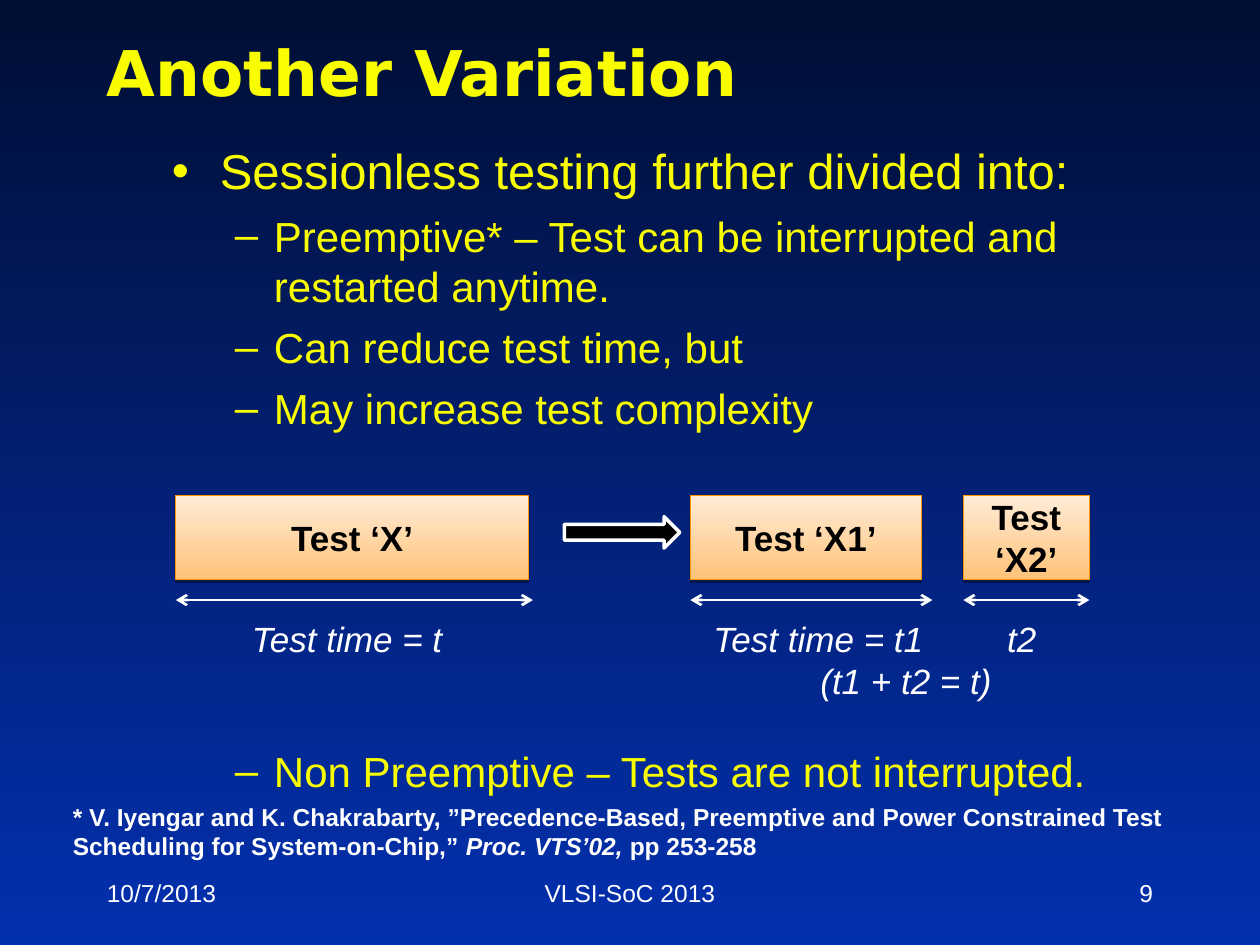
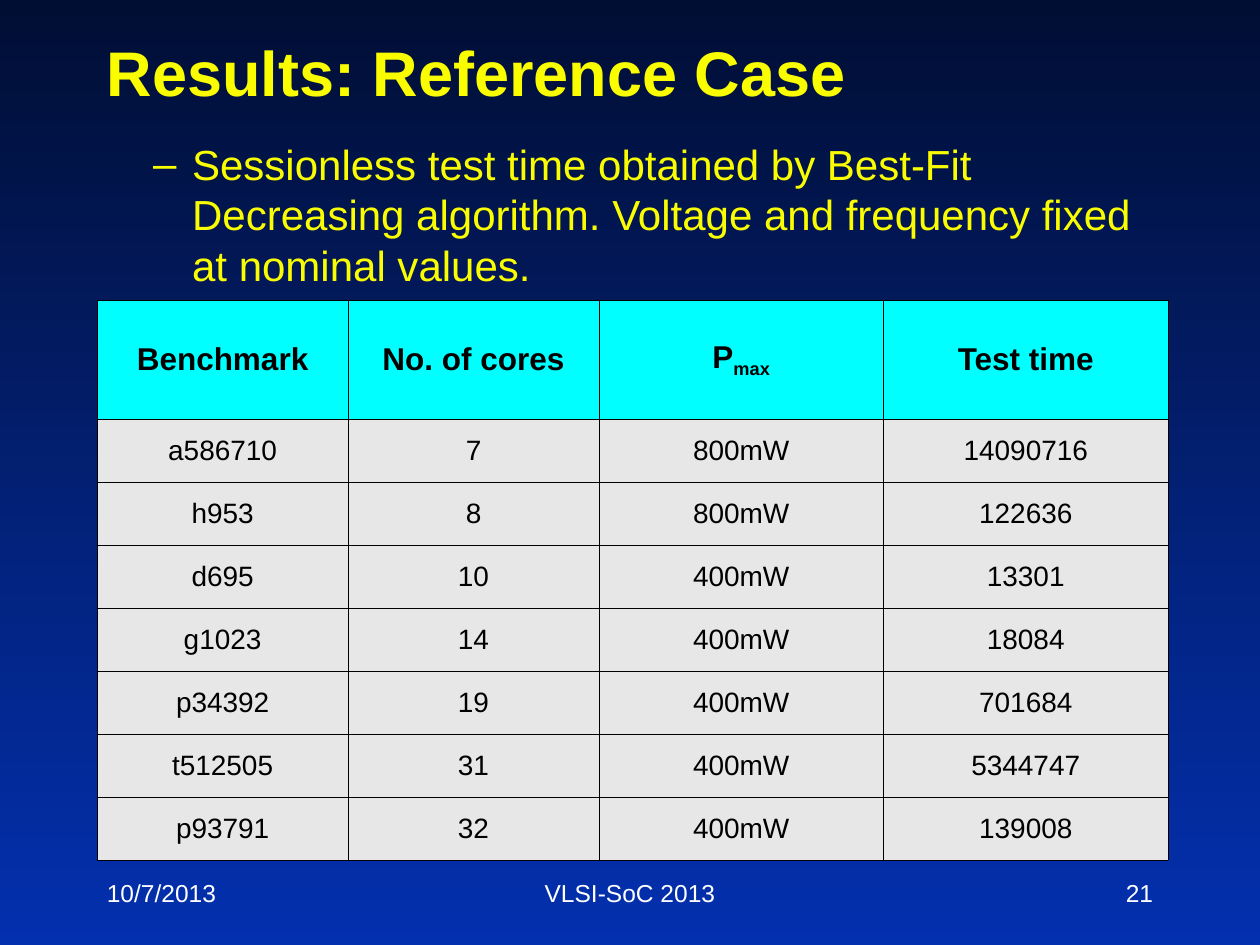
from dataclasses import dataclass, field
from typing import Any

from lxml.etree import SubElement
from pptx import Presentation
from pptx.dml.color import RGBColor
from pptx.enum.shapes import MSO_CONNECTOR, MSO_SHAPE
from pptx.enum.text import MSO_ANCHOR, PP_ALIGN
from pptx.oxml.ns import qn
from pptx.util import Emu, Inches, Pt

COLORS = {
    "night": "010E34", "blue": "0330AF", "yellow": "FAFD00", "white": "FFFFFF",
    "black": "000000", "cream": "FFECD7", "peach": "FFC278", "orange": "FF9700",
    "cyan": "00FFFF", "grey": "E7E7E7",
}
WIDTH, HEIGHT = Inches(10), Inches(7.5)
COLUMNS, ROWS = 120, 90
SIDE, CONTENT_WIDTH = 9, 102
FOOTER_TOP, FOOTER_HEIGHT = 82, 6


@dataclass(frozen=True)
class Area:
    left: float
    top: float
    width: float
    height: float

    def lengths(self) -> tuple[Emu, Emu, Emu, Emu]:
        return across(self.left), down(self.top), across(self.width), down(self.height)


@dataclass(frozen=True)
class Style:
    size: float
    color: str = "white"
    font: dict[str, Any] = field(default_factory=dict)
    align: PP_ALIGN = PP_ALIGN.LEFT


@dataclass(frozen=True)
class Span:
    text: str
    font: dict[str, Any] = field(default_factory=dict)
    baseline: int = 0


@dataclass(frozen=True)
class Level:
    mark: str
    margin: float
    hanging: float
    style: Style
    line_spacing: float = 1.0


@dataclass(frozen=True)
class TestBlock:
    name: str
    left: float
    width: float
    time_left: float
    time_width: float
    time_end: float
    time: str


TITLE = Style(36, "yellow", {"bold": True})
TITLE_WIDE = Style(36, "yellow", {"bold": True, "name": "DejaVu Sans"})
TIME = Style(20, font={"italic": True})
TIME_CENTERED = Style(20, font={"italic": True}, align=PP_ALIGN.CENTER)
BLOCK = Style(20, "black", {"bold": True}, PP_ALIGN.CENTER)
CITATION = Style(14, font={"bold": True})
HEADER = Style(18, "black", {"bold": True}, PP_ALIGN.CENTER)
CELL = Style(16, "black", align=PP_ALIGN.CENTER)
POINT = Level("•", 0.38, 0.38, Style(28, "yellow"), 1.15)
DETAIL = Level("–", 0.81, 0.31, Style(24, "yellow"))

BLOCK_TOP, BLOCK_HEIGHT = 47.2, 8
TIME_LINE, TIME_TOP, TIME_HEIGHT = 57.15, 58.2, 5.2
BLOCKS = [
    TestBlock("Test ‘X’", 16.75, 33.6, 22.8, 21, 50.75, "Test time = t"),
    TestBlock("Test ‘X1’", 65.75, 22, 66.75, 23.6, 88.8, "Test time = t1"),
    TestBlock("Test ‘X2’", 91.75, 12, 94.75, 6, 103.75, "t2"),
]

TABLE_LEFT, TABLE_TOP = 9.25, 28.6
COLUMN_WIDTHS = [23.9, 23.9, 27.1, 27.1]
HEADER_ROW, BODY_ROW = 11.3, 6
HEADINGS = [
    [Span("Benchmark")],
    [Span("No. of cores")],
    [Span("P"), Span("max", baseline=-25000)],
    [Span("Test time")],
]
RESULTS = [
    ("a586710", "7", "800mW", "14090716"),
    ("h953", "8", "800mW", "122636"),
    ("d695", "10", "400mW", "13301"),
    ("g1023", "14", "400mW", "18084"),
    ("p34392", "19", "400mW", "701684"),
    ("t512505", "31", "400mW", "5344747"),
    ("p93791", "32", "400mW", "139008"),
]


def across(columns: float) -> Emu:
    return Emu(round(WIDTH * columns / COLUMNS))


def down(rows: float) -> Emu:
    return Emu(round(HEIGHT * rows / ROWS))


def color(name: str) -> RGBColor:
    return RGBColor.from_string(COLORS[name])


def paint_gradient(fill, start: str, end: str, angle: float) -> None:
    fill.gradient()
    fill.gradient_angle = angle
    for stop, name in zip(fill.gradient_stops, (start, end)):
        stop.color.rgb = color(name)


def add_solid(parent, name: str):
    solid = SubElement(parent, qn("a:solidFill"))
    return SubElement(solid, qn("a:srgbClr"), val=COLORS[name])


def write(para, spans: list[Span], style: Style) -> None:
    para.alignment = style.align
    for span in spans:
        run = para.add_run()
        run.text = span.text
        formats = {"name": "Arial", "size": Pt(style.size), **style.font, **span.font}
        for key, value in formats.items():
            setattr(run.font, key, value)
        run.font.color.rgb = color(style.color)
        if span.baseline:
            run._r.get_or_add_rPr().set("baseline", str(span.baseline))


def add_box(page, area: Area, anchor: MSO_ANCHOR = MSO_ANCHOR.TOP):
    frame = page.shapes.add_textbox(*area.lengths()).text_frame
    frame.word_wrap = True
    frame.vertical_anchor = anchor
    return frame


def add_text(page, area: Area, spans: list[Span], style: Style,
             anchor: MSO_ANCHOR = MSO_ANCHOR.TOP) -> None:
    write(add_box(page, area, anchor).paragraphs[0], spans, style)


def add_bullets(page, area: Area, items: list[tuple[Level, str]]) -> None:
    frame = add_box(page, area)
    for index, (level, text) in enumerate(items):
        para = frame.add_paragraph() if index else frame.paragraphs[0]
        para.line_spacing = level.line_spacing
        if index:
            para.space_before = Pt(6)
        properties = para._p.get_or_add_pPr()
        properties.set("marL", str(Inches(level.margin)))
        properties.set("indent", str(-Inches(level.hanging)))
        bullet_color = SubElement(properties, qn("a:buClr"))
        SubElement(bullet_color, qn("a:srgbClr"), val=COLORS["yellow"])
        SubElement(properties, qn("a:buFont"), typeface="Arial")
        SubElement(properties, qn("a:buChar"), char=level.mark)
        write(para, [Span(text)], level.style)


def add_page(deck, title: str, style: Style, number: int):
    page = deck.slides.add_slide(deck.slide_layouts[6])
    add_text(page, Area(SIDE, 3, CONTENT_WIDTH, 8), [Span(title)], style, MSO_ANCHOR.BOTTOM)
    footers = [
        (SIDE, 25, "10/7/2013", PP_ALIGN.LEFT),
        (41, 38, "VLSI-SoC 2013", PP_ALIGN.CENTER),
        (86, 25, str(number), PP_ALIGN.RIGHT),
    ]
    for left, width, text, align in footers:
        add_text(page, Area(left, FOOTER_TOP, width, FOOTER_HEIGHT), [Span(text)],
                 Style(14, align=align), MSO_ANCHOR.MIDDLE)
    return page


def add_test_block(page, block: TestBlock) -> None:
    area = Area(block.left, BLOCK_TOP, block.width, BLOCK_HEIGHT)
    shape = page.shapes.add_shape(MSO_SHAPE.RECTANGLE, *area.lengths())
    paint_gradient(shape.fill, "peach", "cream", 90)
    shape.line.color.rgb = color("orange")
    shape.line.width = Pt(0.75)
    shape.shadow.inherit = False
    effects = shape._element.spPr.find(qn("a:effectLst"))
    shadow = SubElement(effects, qn("a:outerShdw"), blurRad="0", dist=str(Pt(1.6)),
                        dir="5400000", rotWithShape="0")
    shade = SubElement(shadow, qn("a:srgbClr"), val=COLORS["black"])
    SubElement(shade, qn("a:alpha"), val="38000")
    shape.text_frame.word_wrap = True
    shape.text_frame.vertical_anchor = MSO_ANCHOR.MIDDLE
    write(shape.text_frame.paragraphs[0], [Span(block.name)], BLOCK)


def add_time_span(page, block: TestBlock) -> None:
    line = page.shapes.add_connector(
        MSO_CONNECTOR.STRAIGHT, across(block.left), down(TIME_LINE),
        across(block.time_end), down(TIME_LINE))
    line.line.color.rgb = color("white")
    line.line.width = Pt(1.5)
    for end in ("a:headEnd", "a:tailEnd"):
        SubElement(line.line._get_or_add_ln(), qn(end), type="arrow")
    SubElement(line._element.spPr, qn("a:effectLst"))
    add_text(page, Area(block.time_left, TIME_TOP, block.time_width, TIME_HEIGHT),
             [Span(block.time)], TIME)


def add_split_arrow(page) -> None:
    arrow = page.shapes.add_shape(MSO_SHAPE.RIGHT_ARROW, *Area(53.75, 49.2, 11, 3).lengths())
    arrow.fill.solid()
    arrow.fill.fore_color.rgb = color("black")
    arrow.line.color.rgb = color("white")
    arrow.line.width = Pt(2)
    arrow.shadow.inherit = False


def fill_cell(cell, spans: list[Span], style: Style, fill: str) -> None:
    cell.vertical_anchor = MSO_ANCHOR.MIDDLE
    write(cell.text_frame.paragraphs[0], spans, style)
    properties = cell._tc.get_or_add_tcPr()
    for side in ("a:lnL", "a:lnR", "a:lnT", "a:lnB"):
        add_solid(SubElement(properties, qn(side), w=str(Pt(0.45))), "black")
    cell.fill.solid()
    cell.fill.fore_color.rgb = color(fill)


def add_results_table(page) -> None:
    heights = [HEADER_ROW] + [BODY_ROW] * len(RESULTS)
    area = Area(TABLE_LEFT, TABLE_TOP, sum(COLUMN_WIDTHS), sum(heights))
    table = page.shapes.add_table(len(heights), len(COLUMN_WIDTHS), *area.lengths()).table
    for column, width in zip(table.columns, COLUMN_WIDTHS):
        column.width = across(width)
    for row, height in zip(table.rows, heights):
        row.height = down(height)
    for cell, spans in zip(table.rows[0].cells, HEADINGS):
        fill_cell(cell, spans, HEADER, "cyan")
    for index, values in enumerate(RESULTS, start=1):
        for cell, value in zip(table.rows[index].cells, values):
            fill_cell(cell, [Span(value)], CELL, "grey")


def build_variation(deck) -> None:
    page = add_page(deck, "Another Variation", TITLE_WIDE, 9)
    add_bullets(page, Area(15.2, 12, 95.8, 24), [
        (POINT, "Sessionless testing further divided into:"),
        (DETAIL, "Preemptive* – Test can be interrupted and restarted anytime."),
        (DETAIL, "Can reduce test time, but"),
        (DETAIL, "May increase test complexity"),
    ])
    for block in BLOCKS:
        add_test_block(page, block)
        add_time_span(page, block)
    add_split_arrow(page)
    add_text(page, Area(67.8, 62.2, 37, TIME_HEIGHT), [Span("(t1 + t2 = t)")], TIME_CENTERED)
    add_bullets(page, Area(15.2, 70.4, 95.8, 6),
                [(DETAIL, "Non Preemptive – Tests are not interrupted.")])
    add_text(page, Area(5.75, 75.75, 112, 6.8), [
        Span("* V. Iyengar and K. Chakrabarty, ”Precedence-Based, Preemptive and Power "
             "Constrained Test Scheduling for System-on-Chip,” "),
        Span("Proc. VTS’02, ", {"italic": True}),
        Span("pp 253-258"),
    ], CITATION)


def build_results(deck) -> None:
    page = add_page(deck, "Results: Reference Case", TITLE, 21)
    add_bullets(page, Area(7.4, 12.6, 103.6, 15), [
        (DETAIL, "Sessionless test time obtained by Best-Fit Decreasing algorithm. "
                 "Voltage and frequency fixed at nominal values."),
    ])
    add_results_table(page)


def main() -> None:
    deck = Presentation()
    deck.slide_width, deck.slide_height = WIDTH, HEIGHT
    paint_gradient(deck.slide_master.background.fill, "night", "blue", 270)
    build_variation(deck)
    build_results(deck)
    deck.save("out.pptx")


if __name__ == "__main__":
    main()
